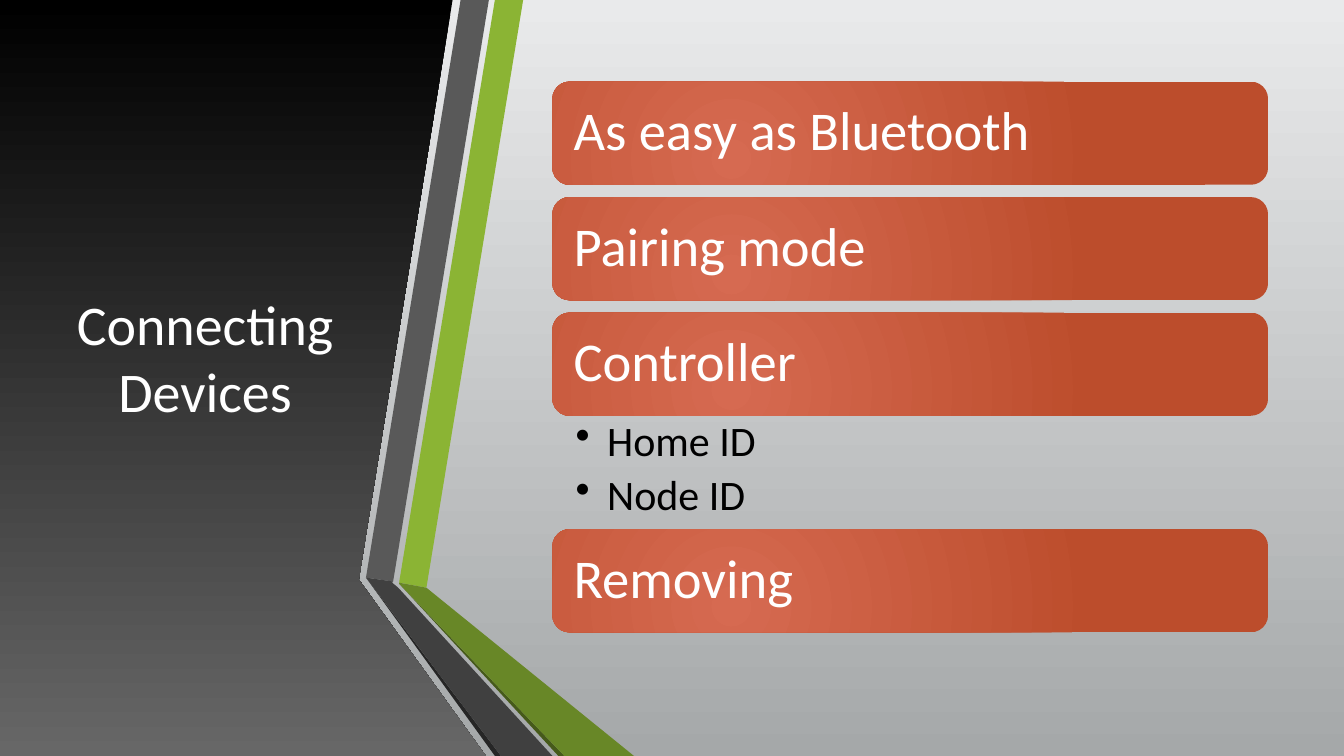
"""Build the Connecting Devices slide with its folded ribbons and topic cards."""
from typing import NamedTuple

from lxml.etree import SubElement
from pptx import Presentation
from pptx.dml.color import RGBColor
from pptx.dml.fill import FillFormat
from pptx.enum.shapes import MSO_SHAPE
from pptx.enum.text import MSO_ANCHOR as Anchor, PP_ALIGN as Align
from pptx.oxml.ns import qn
from pptx.shapes.autoshape import Shape
from pptx.slide import Slide
from pptx.text.text import TextFrame
from pptx.util import Pt

WIDTH, HEIGHT = 960, 540
FONT = "Calibri"
CARD_LEFT, CARD_WIDTH, CARD_HEIGHT = 394.6, 511.2, 73.7


class Ribbon(NamedTuple):
    color: str
    points: list[tuple[float, float]]


class Card(NamedTuple):
    text: str
    top: float


PANEL = [(0, 0), (323.3, 0), (256.3, 414), (347, HEIGHT), (0, HEIGHT)]
RIBBONS = [
    Ribbon("8BB434", [(285.1, 416.2), (304.6, 419.8), (373.7, 0), (353.5, 0)]),
    Ribbon("595959", [(349.2, 0), (329, 0), (261.4, 412.6), (280.8, 415.4)]),
    Ribbon("262626", [(261.4, 412.6), (353.5, HEIGHT), (357.8, HEIGHT)]),
    Ribbon("465A1A", [(285.1, 416.9), (398.9, HEIGHT), (403.2, HEIGHT)]),
    Ribbon("688727", [(285.1, 416.9), (403.2, HEIGHT), (452.9, HEIGHT),
                      (304.6, 419.8), (285.1, 416.2)]),
    Ribbon("404040", [(394.6, HEIGHT), (284.4, 419.8), (280.1, 416.2),
                      (280.8, 415.4), (261.4, 412.6), (357.8, HEIGHT)]),
]
TOPICS = ["As easy as Bluetooth", "Pairing mode", "Controller"]
CARDS = [Card(text, 58.3 + 82.5 * row) for row, text in enumerate(TOPICS)]
CARDS.append(Card("Removing", 378))


def rgb(color: str) -> RGBColor:
    return RGBColor.from_string(color)


def fill_gradient(fill: FillFormat, first: str, last: str) -> None:
    fill.gradient()
    fill.gradient_angle = 270
    for stop, color, position in zip(fill.gradient_stops, (first, last), (0, 1)):
        stop.color.rgb = rgb(color)
        stop.position = position


def make_radial(shape: Shape) -> None:
    gradient = shape.fill._xPr.find(qn("a:gradFill"))
    gradient.remove(gradient.find(qn("a:lin")))
    circle = SubElement(gradient, qn("a:path"), {"path": "circle"})
    SubElement(circle, qn("a:fillToRect"),
               {"l": "50000", "t": "100000", "r": "100000", "b": "50000"})


def add_polygon(slide: Slide, points: list[tuple[float, float]]) -> Shape:
    corners = [(Pt(x), Pt(y)) for x, y in points]
    builder = slide.shapes.build_freeform(*corners[0])
    builder.add_line_segments(corners[1:], close=True)
    shape = builder.convert_to_shape()
    shape.shadow.inherit = False
    shape.line.fill.background()
    return shape


def write_text(frame: TextFrame, lines: list[str], *, size: float,
               color: str = "FFFFFF", align: Align = Align.LEFT,
               anchor: Anchor = Anchor.MIDDLE, spacing: float = 1,
               after: float = 0, bullet: str = "",
               insets: tuple[float, float, float, float] = (7.2, 3.6, 7.2, 3.6)) -> None:
    frame.word_wrap = True
    frame.vertical_anchor = anchor
    (frame.margin_left, frame.margin_top,
     frame.margin_right, frame.margin_bottom) = map(Pt, insets)
    for index, line in enumerate(lines):
        paragraph = frame.add_paragraph() if index else frame.paragraphs[0]
        paragraph.alignment = align
        paragraph.line_spacing = spacing
        paragraph.space_after = Pt(after)
        run = paragraph.add_run()
        run.text = line
        run.font.name = FONT
        run.font.size = Pt(size)
        run.font.color.rgb = rgb(color)
        if bullet:
            properties = paragraph._p.get_or_add_pPr()
            properties.set("marL", str(Pt(22.5)))
            properties.set("indent", str(Pt(-22.5)))
            SubElement(properties, qn("a:buChar"), {"char": bullet})


def add_card(slide: Slide, card: Card) -> None:
    shape = slide.shapes.add_shape(
        MSO_SHAPE.ROUNDED_RECTANGLE,
        Pt(CARD_LEFT), Pt(card.top), Pt(CARD_WIDTH), Pt(CARD_HEIGHT))
    shape.shadow.inherit = False
    shape.line.fill.background()
    fill_gradient(shape.fill, "D66A51", "BC4D2C")
    make_radial(shape)
    write_text(shape.text_frame, [card.text], size=39, spacing=0.9,
               insets=(11.5, 11.5, 11.5, 11.5))


def main() -> None:
    presentation = Presentation()
    presentation.slide_width, presentation.slide_height = Pt(WIDTH), Pt(HEIGHT)
    slide = presentation.slides.add_slide(presentation.slide_layouts[6])
    fill_gradient(slide.background.fill, "E9EAEB", "A5A8A9")

    panel = add_polygon(slide, PANEL)
    fill_gradient(panel.fill, "000000", "676767")
    for ribbon in RIBBONS:
        shape = add_polygon(slide, ribbon.points)
        shape.fill.solid()
        shape.fill.fore_color.rgb = rgb(ribbon.color)

    title = slide.shapes.add_textbox(Pt(42.5), Pt(54), Pt(208), Pt(401.8))
    write_text(title.text_frame, ["Connecting Devices"], size=40, align=Align.CENTER)

    for card in CARDS:
        add_card(slide, card)
    details = slide.shapes.add_textbox(
        Pt(CARD_LEFT), Pt(296.7), Pt(CARD_WIDTH), Pt(81.3))
    write_text(details.text_frame, ["Home ID", "Node ID"], size=30, color="000000",
               anchor=Anchor.TOP, spacing=0.9, after=6, bullet="•",
               insets=(16.6, 3.6, 21.6, 3.6))

    presentation.save("out.pptx")


if __name__ == "__main__":
    main()
